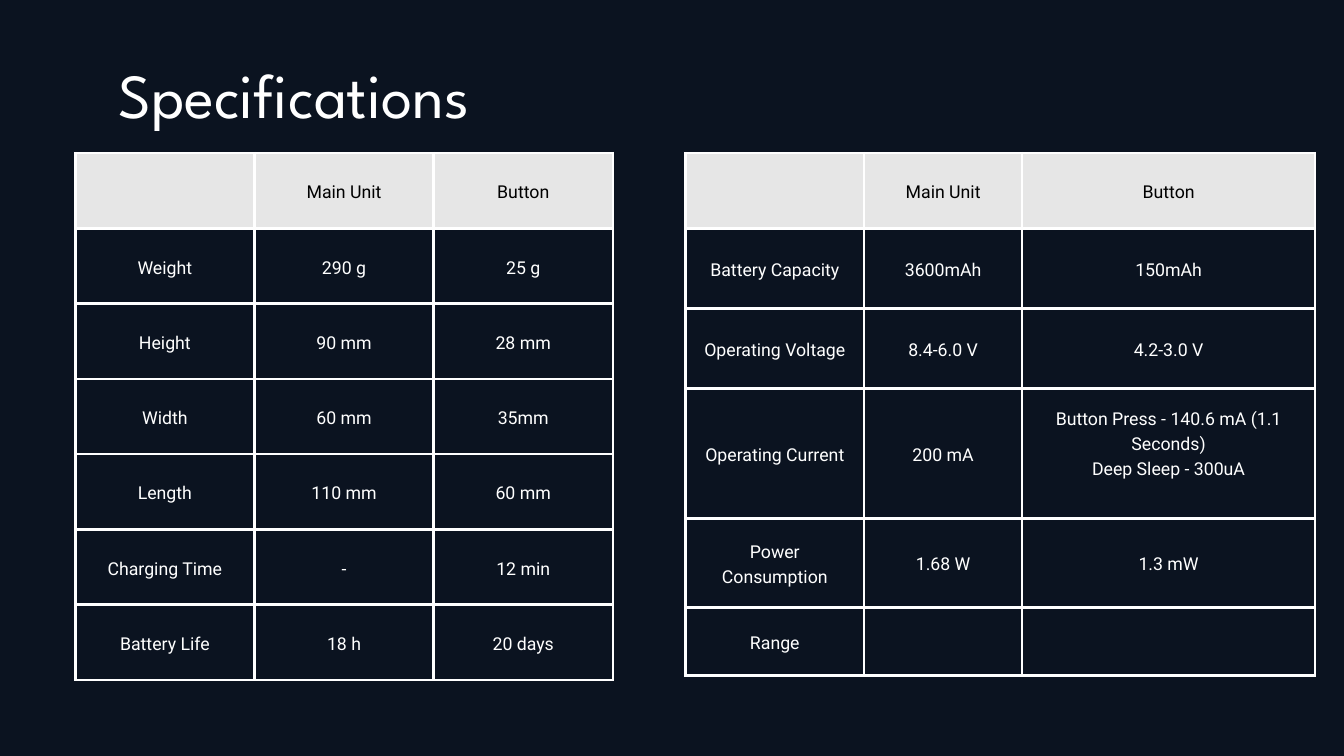
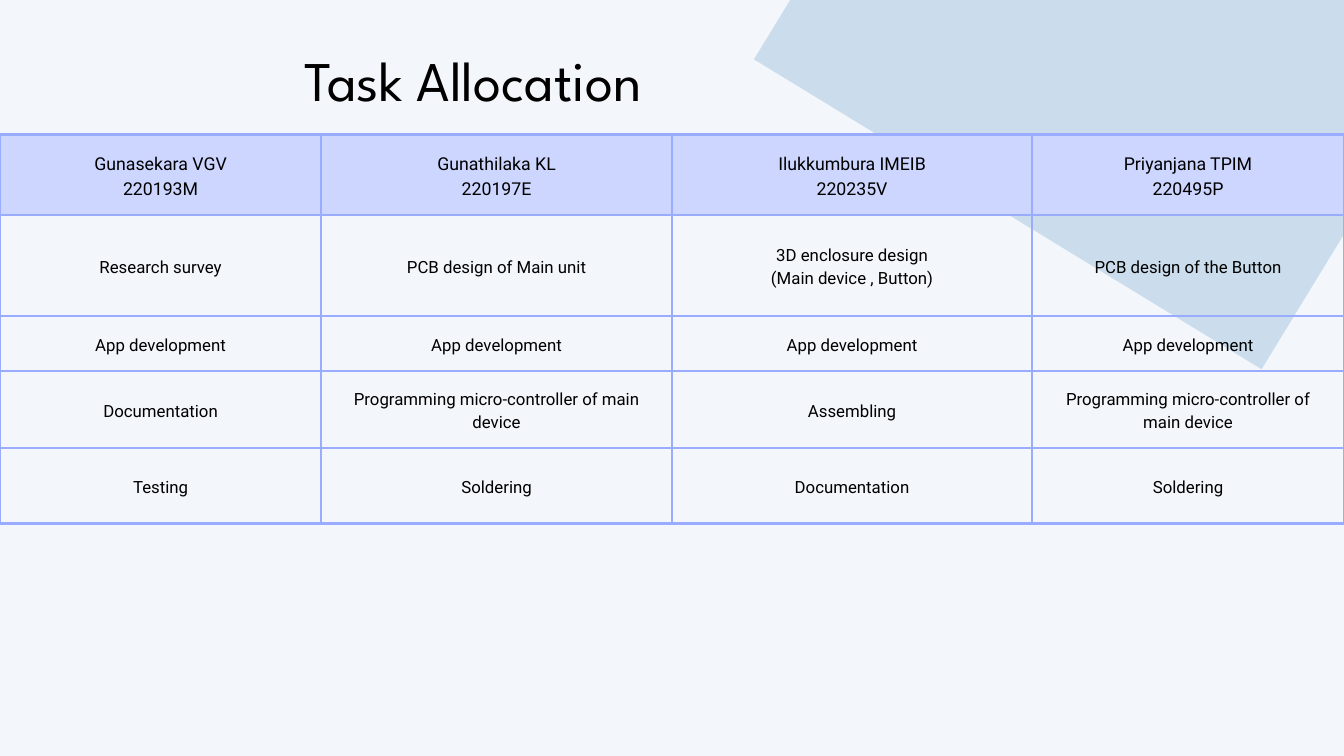
from collections import namedtuple
from dataclasses import dataclass

import pptx
import pptx.dml.color
import pptx.enum.text
import pptx.oxml
import pptx.oxml.ns
import pptx.util

ALIGN = pptx.enum.text.PP_ALIGN
ANCHOR = pptx.enum.text.MSO_ANCHOR
Box = namedtuple("Box", "left top width height")


@dataclass(frozen=True)
class Theme:
    night: str = "0B1320"
    paper: str = "F3F6FA"
    white: str = "FFFFFF"
    black: str = "000000"
    grey: str = "E6E6E6"
    lavender: str = "CDD6FF"
    periwinkle: str = "99ACFF"
    mist: str = "CBDDEC"
    title_font: str = "League Spartan"
    body_font: str = "Roboto"
    large_title: float = 67
    title: float = 60
    label: float = 19
    body: float = 18
    leading: float = 1.4
    border: float = 3
    padding: float = 0.21


@dataclass(frozen=True)
class TableLook:
    header_fill: str
    border: str
    color: str
    size: float


THEME = Theme()
GRID = Box(0, 0, 20, 11.25)
UNIT = pptx.util.Inches(1)
SPEC_LOOK = TableLook(THEME.grey, THEME.white, THEME.white, THEME.label)
TASK_LOOK = TableLook(THEME.lavender, THEME.periwinkle, THEME.black, THEME.body)

SIZE_ROWS = [
    ["", "Main Unit", "Button"],
    ["Weight", "290 g", "25 g"],
    ["Height", "90 mm", "28 mm"],
    ["Width", "60 mm", "35mm"],
    ["Length", "110 mm", "60 mm"],
    ["Charging Time", "-", "12 min"],
    ["Battery Life", "18 h", "20 days"],
]
POWER_ROWS = [
    ["", "Main Unit", "Button"],
    ["Battery Capacity", "3600mAh", "150mAh"],
    ["Operating Voltage", "8.4-6.0 V", "4.2-3.0 V"],
    ["Operating Current", "200 mA",
     "Button Press - 140.6 mA (1.1 Seconds)\nDeep Sleep - 300uA"],
    ["Power Consumption", "1.68 W", "1.3 mW"],
    ["Range", "", ""],
]
TASK_ROWS = [
    ["Gunasekara VGV\n220193M", "Gunathilaka KL\n220197E",
     "Ilukkumbura IMEIB\n220235V", "Priyanjana TPIM\n220495P"],
    ["Research survey", "PCB design of Main unit",
     "3D enclosure design\n(Main device , Button)", "PCB design of the Button"],
    ["App development"] * 4,
    ["Documentation", "Programming micro-controller of main device",
     "Assembling", "Programming micro-controller of main device"],
    ["Testing", "Soldering", "Documentation", "Soldering"],
]


def rgb(color):
    return pptx.dml.color.RGBColor.from_string(color)


def units(*lengths):
    return [round(n * UNIT) for n in lengths]


def within(box, left, top, width, height):
    return Box(box.left + left, box.top + top, width, height)


def write_text(tf, text, *, size, color, font=THEME.body_font, align=ALIGN.CENTER):
    tf.word_wrap = True
    for i, line in enumerate(text.split("\n")):
        p = tf.add_paragraph() if i else tf.paragraphs[0]
        p.alignment = align
        p.line_spacing = pptx.util.Pt(round(size * THEME.leading, 1))
        r = p.add_run()
        r.text = line
        r.font.size = pptx.util.Pt(size)
        r.font.name = font
        r.font.color.rgb = rgb(color)


def add_page(prs, color):
    s = prs.slides.add_slide(prs.slide_layouts[6])
    s.background.fill.solid()
    s.background.fill.fore_color.rgb = rgb(color)
    return s


def add_title(s, box, text, *, size, color, align):
    tf = s.shapes.add_textbox(*units(*box)).text_frame
    tf.margin_left = tf.margin_top = tf.margin_right = tf.margin_bottom = 0
    write_text(tf, text, size=size, color=color, font=THEME.title_font, align=align)
    tf.auto_size = pptx.enum.text.MSO_AUTO_SIZE.SHAPE_TO_FIT_TEXT


def add_borders(cell, color):
    tc_pr = cell._tc.get_or_add_tcPr()
    for side in "LRTB":
        tc_pr.append(pptx.oxml.parse_xml(
            f'<a:ln{side} {pptx.oxml.ns.nsdecls("a")} w="{pptx.util.Pt(THEME.border)}">'
            f'<a:solidFill><a:srgbClr val="{color}"/></a:solidFill></a:ln{side}>'))


def style_cell(cell, text, look, is_header):
    add_borders(cell, look.border)
    if is_header:
        cell.fill.solid()
        cell.fill.fore_color.rgb = rgb(look.header_fill)
    else:
        cell.fill.background()
    if text:
        cell.vertical_anchor = ANCHOR.MIDDLE
        pad = units(THEME.padding)[0]
        cell.margin_left = cell.margin_top = cell.margin_right = cell.margin_bottom = pad
        write_text(cell.text_frame, text,
                   size=THEME.label if is_header else look.size,
                   color=THEME.black if is_header else look.color)


def add_grid_table(s, box, rows, look, col_shares, row_shares):
    table = s.shapes.add_table(len(rows), len(rows[0]), *units(*box)).table
    table.first_row = table.horz_banding = False
    for col, share in zip(table.columns, col_shares):
        col.width = units(box.width * share / sum(col_shares))[0]
    for row, share in zip(table.rows, row_shares):
        row.height = units(box.height * share / sum(row_shares))[0]
    for i, texts in enumerate(rows):
        for j, text in enumerate(texts):
            style_cell(table.cell(i, j), text, look, i == 0)
    return table


def add_tilted_panel(s, box, angle, color):
    left, top, width, height = units(*box)
    pen = s.shapes.build_freeform(left, top)
    pen.add_line_segments([(left + width, top), (left + width, top + height),
                           (left, top + height)], close=True)
    sp = pen.convert_to_shape()
    sp.rotation = angle
    sp.shadow.inherit = False
    sp.fill.solid()
    sp.fill.fore_color.rgb = rgb(color)
    sp.line.fill.background()


def build_specifications(prs, box):
    s = add_page(prs, THEME.night)
    add_grid_table(s, within(box, 1.12, 2.28, 8, 7.84), SIZE_ROWS, SPEC_LOOK,
                   [1] * 3, [1] * 7)
    add_title(s, within(box, 1.76, 0.65, 11.18, 1.24), "Specifications",
              size=THEME.large_title, color=THEME.white, align=ALIGN.LEFT)
    power = add_grid_table(s, within(box, 10.2, 2.28, 9.37, 7.77), POWER_ROWS, SPEC_LOOK,
                           [2.66, 2.35, 4.36], [1.12, 1.19, 1.19, 1.93, 1.32, 1.01])
    power.cell(3, 2).margin_bottom = units(THEME.padding + 0.33)[0]


def build_task_allocation(prs, box):
    s = add_page(prs, THEME.paper)
    add_tilted_panel(s, within(box, 12.14, -2.39, 8.85, 6.02), 211.4, THEME.mist)
    add_grid_table(s, within(box, 0, 2, box.width, 5.79), TASK_ROWS, TASK_LOOK,
                   [4.78, 5.22, 5.36, 4.64], [1.2, 1.5, 0.82, 1.15, 1.12])
    add_title(s, within(box, 1.12, 0.51, 11.84, 1.11), "Task Allocation",
              size=THEME.title, color=THEME.black, align=ALIGN.CENTER)


def main():
    prs = pptx.Presentation()
    prs.slide_width, prs.slide_height = units(GRID.width, GRID.height)
    build_specifications(prs, GRID)
    build_task_allocation(prs, GRID)
    prs.save("out.pptx")


if __name__ == "__main__":
    main()
